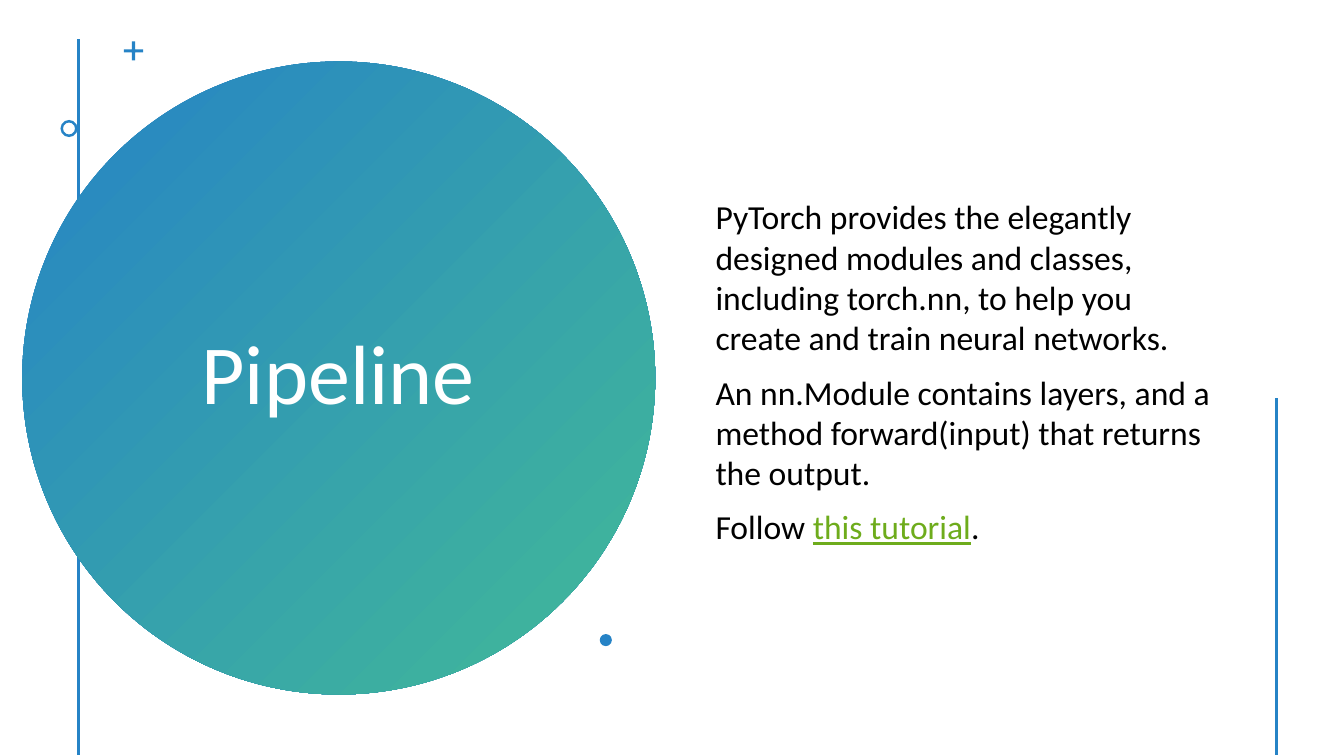
from pptx import Presentation, util as u
from pptx.dml.color import RGBColor
from pptx.enum import shapes, text
from pptx.oxml.ns import qn
from lxml import etree

HUES = {"blue": "2683C6", "teal": "42BA97", "white": "FFFFFF",
        "ink": "000000", "link": "6EAC1C"}
FONT = "Calibri"
COLS, ROWS = 80, 45


def hue(name):
    return RGBColor.from_string(HUES[name])


class Page:
    """One slide on a grid of 80 columns and 45 rows."""

    def __init__(self, deck):
        self.slide = deck.slides.add_slide(deck.slide_layouts[6])
        self.shapes = self.slide.shapes
        self.col = deck.slide_width / COLS
        self.row = deck.slide_height / ROWS

    def spot(self, x, y):
        return round(x * self.col), round(y * self.row)

    def line(self, x, top, end):
        rule = self.shapes.add_connector(
            shapes.MSO_CONNECTOR.STRAIGHT, *self.spot(x, top), *self.spot(x, end))
        rule.line.color.rgb = hue("blue")
        rule.line.width = u.Pt(2)
        etree.SubElement(rule.line._get_or_add_ln().getparent(), qn("a:effectLst"))

    def mark(self, kind, x, y, size, adjust=None, blend=False):
        mark = self.shapes.add_shape(kind, *self.spot(x, y), *self.spot(size, size))
        mark.shadow.inherit = False
        mark.line.fill.background()
        if adjust is not None:
            mark.adjustments[0] = adjust
        if blend:
            mark.fill.gradient()
            mark.fill.gradient_angle = 315
            for stop, name in zip(mark.fill.gradient_stops, ("blue", "teal")):
                stop.color.rgb = hue(name)
        else:
            mark.fill.solid()
            mark.fill.fore_color.rgb = hue("blue")

    def text(self, x, y, wide, high, paras, size, color, gap=0, lead=1.0, align=None):
        """Each paragraph is a list of (words, is_link) pairs."""
        frame = self.shapes.add_textbox(*self.spot(x, y), *self.spot(wide, high)).text_frame
        frame.word_wrap = True
        frame.vertical_anchor = text.MSO_ANCHOR.MIDDLE
        for i, parts in enumerate(paras):
            para = frame.add_paragraph() if i else frame.paragraphs[0]
            para.alignment = align
            para.line_spacing = lead
            if i:
                para.space_before = u.Pt(gap)
            for words, linked in parts:
                run = para.add_run()
                run.text = words
                run.font.name = FONT
                run.font.size = u.Pt(size)
                run.font.underline = linked
                run.font.color.rgb = hue("link" if linked else color)


def main():
    deck = Presentation()
    deck.slide_width, deck.slide_height = u.Inches(13.33), u.Inches(7.5)
    page = Page(deck)
    kinds = shapes.MSO_SHAPE

    # Left rule and title disc
    page.line(4.68, 2.34, 44.94)
    page.mark(kinds.OVAL, 1.32, 3.66, 37.68, blend=True)
    page.text(8.16, 8.46, 23.94, 28.02, [[("Pipeline", False)]], 60, "white",
              lead=0.9, align=text.PP_ALIGN.CENTER)

    # Small ornaments
    page.mark(kinds.CROSS, 7.38, 2.46, 1.14, adjust=0.42)
    page.mark(kinds.DONUT, 3.6, 7.14, 1.02, adjust=0.15)
    page.mark(kinds.OVAL, 35.7, 37.74, 0.72)

    # Body text
    page.text(42, 2.52, 30.72, 39.18, [
        [("PyTorch provides the elegantly designed modules and classes, "
          "including torch.nn, to help you create and train neural networks.", False)],
        [("An nn.Module contains layers, and a method forward(input) "
          "that returns the output.", False)],
        [("Follow ", False), ("this tutorial", True), (".", False)],
    ], 24, "ink", gap=10)

    # Right rule
    page.line(76, 23.7, 44.94)

    deck.save("out.pptx")


if __name__ == "__main__":
    main()
